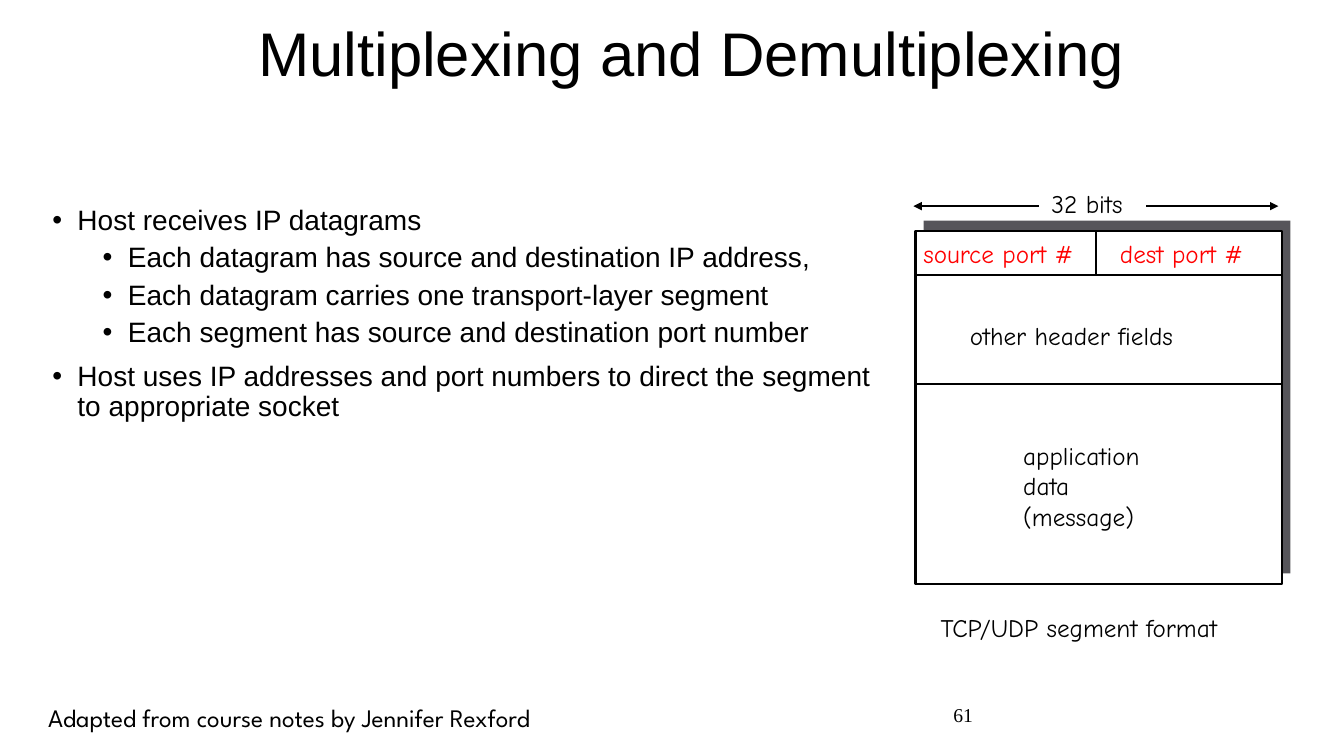
from dataclasses import dataclass

import lxml.etree
import pptx
import pptx.dml.color
import pptx.enum.shapes
import pptx.enum.text
import pptx.oxml.ns
import pptx.util

ALIGN = pptx.enum.text.PP_ALIGN
FIT = pptx.enum.text.MSO_AUTO_SIZE
SHAPES = pptx.enum.shapes
qn = pptx.oxml.ns.qn


@dataclass(frozen=True)
class Theme:
    ink: str = "000000"
    paper: str = "FFFFFF"
    shade: str = "56555A"
    accent: str = "FF0000"
    main_font: str = "Arial"
    diagram_font: str = "Comic Neue"
    credit_font: str = "League Spartan"
    number_font: str = "Times New Roman"
    title_size: int = 44
    body_size: int = 20
    label_size: int = 18
    number_size: int = 14
    rule: float = 1.5
    spacing: float = 0.9


THEME = Theme()

TITLE = "Multiplexing and Demultiplexing"
POINTS = [
    (0, "Host receives IP datagrams"),
    (1, "Each datagram has source and destination IP address,"),
    (1, "Each datagram carries one transport-layer segment"),
    (1, "Each segment has source and destination port number"),
    (0, "Host uses IP addresses and port numbers to direct the segment to appropriate socket"),
]


def grid(count):
    """Length of a number of grid cells; the slide is 75 rows high."""
    return pptx.util.Inches(count * 7.5 / 75)


def rgb(colour):
    return pptx.dml.color.RGBColor.from_string(colour)


def style(paragraph, font, size, colour=THEME.ink):
    for run in paragraph.runs:
        run.font.name = font
        run.font.size = pptx.util.Pt(size)
        run.font.color.rgb = rgb(colour)


def text_area(slide, box, text, font, size, colour=THEME.ink, align=ALIGN.LEFT, wrap=True):
    frame = slide.shapes.add_textbox(*map(grid, box)).text_frame
    frame.word_wrap = wrap
    frame.auto_size = FIT.NONE if wrap else FIT.SHAPE_TO_FIT_TEXT
    frame.text = text
    for paragraph in frame.paragraphs:
        paragraph.alignment = align
        style(paragraph, font, size, colour)
    return frame


def panel(slide, box, fill, outlined=False):
    rect = slide.shapes.add_shape(SHAPES.MSO_SHAPE.RECTANGLE, *map(grid, box))
    rect.shadow.inherit = False
    rect.fill.solid()
    rect.fill.fore_color.rgb = rgb(fill)
    if outlined:
        rect.line.color.rgb = rgb(THEME.ink)
        rect.line.width = pptx.util.Pt(THEME.rule)
    else:
        rect.line.fill.background()


def rule(slide, start, end, arrow=False):
    line = slide.shapes.add_connector(
        SHAPES.MSO_CONNECTOR.STRAIGHT, *map(grid, (*start, *end)))
    line.line.color.rgb = rgb(THEME.ink)
    line.line.width = pptx.util.Pt(THEME.rule)
    if arrow:
        lxml.etree.SubElement(line.line._get_or_add_ln(), qn("a:tailEnd"), type="triangle")
    lxml.etree.SubElement(line._element.spPr, qn("a:effectLst"))


def title_region(slide, box):
    frame = text_area(slide, box, TITLE, THEME.main_font, THEME.title_size, align=ALIGN.CENTER)
    frame.paragraphs[0].line_spacing = THEME.spacing


def bullet_region(slide, box):
    frame = text_area(slide, box, "\n".join(text for _, text in POINTS),
                      THEME.main_font, THEME.body_size)
    for index, (paragraph, (level, _)) in enumerate(zip(frame.paragraphs, POINTS)):
        paragraph.level = level
        paragraph.line_spacing = THEME.spacing
        if index:
            paragraph.space_before = pptx.util.Pt(5 if level else 10)
        properties = paragraph._p.get_or_add_pPr()
        properties.set("marL", str(grid(2.5 + 5 * level)))
        properties.set("indent", str(-grid(2.5)))
        lxml.etree.SubElement(properties, qn("a:buFont"), typeface="Arial")
        lxml.etree.SubElement(properties, qn("a:buChar"), char="•")


def segment_region(slide, box):
    left, top, width, height = box
    right = left + width
    port_bottom, header_bottom, port_split = top + 4.4, top + 15.2, left + 17.9

    # Frame with its offset shade
    panel(slide, (left + 0.8, top - 1, width, height), THEME.shade)
    panel(slide, box, THEME.paper, outlined=True)

    # Field dividers
    for bottom in (port_bottom, header_bottom):
        rule(slide, (left, bottom), (right, bottom))
    rule(slide, (port_split, top), (port_split, port_bottom))

    # Width arrows
    arrow_row = top - 2.45
    rule(slide, (right - 13.5, arrow_row), (right - 0.4, arrow_row), arrow=True)
    rule(slide, (left + 12.2, arrow_row), (left - 0.2, arrow_row), arrow=True)

    # Labels: column, row, width, height within the frame
    labels = [
        ("source port #", -0.2, 0.3, 18.3, 4, THEME.accent),
        ("dest port #", 19.3, 0.3, 15.9, 4, THEME.accent),
        ("32 bits", 12.5, -4.7, 10.4, 4, THEME.ink),
        ("other header fields", 4.4, 8.4, 25.1, 4, THEME.ink),
        ("application\ndata\n(message)", 9.7, 20.3, 14.5, 10.1, THEME.ink),
        ("TCP/UDP segment format", 1.5, 37.4, 32.5, 4, THEME.ink),
    ]
    for text, column, row, columns, rows, colour in labels:
        text_area(slide, (left + column, top + row, columns, rows), text,
                  THEME.diagram_font, THEME.label_size, colour, wrap=False)


def footer_region(slide, box):
    left, top, width, height = box
    text_area(slide, (left, top, 60, height), "Adapted from course notes by Jennifer Rexford",
              THEME.credit_font, THEME.label_size, wrap=False)
    text_area(slide, (left + width - 10, top, 10, height), "61",
              THEME.number_font, THEME.number_size, align=ALIGN.RIGHT)


def main():
    deck = pptx.Presentation()
    deck.slide_width = pptx.util.Inches(13.33)
    deck.slide_height = pptx.util.Inches(7.5)
    slide = deck.slides.add_slide(deck.slide_layouts[6])
    title_region(slide, (7.5, 1.8, 122.2, 10.5))
    bullet_region(slide, (4.2, 20, 83.2, 55))
    segment_region(slide, (90.8, 22.9, 36.4, 35))
    footer_region(slide, (3.8, 69.2, 93.7, 4))
    deck.save("out.pptx")


if __name__ == "__main__":
    main()
